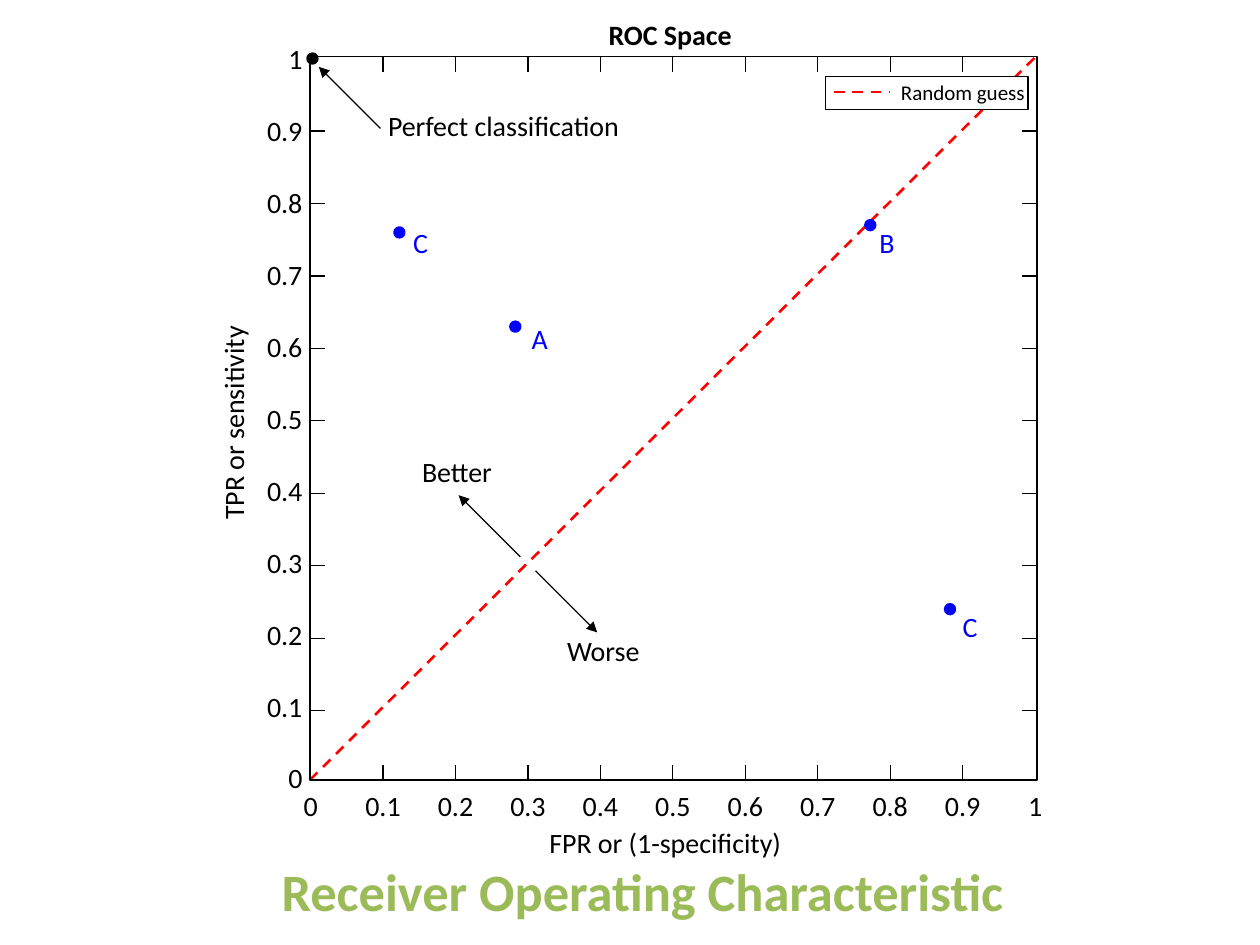
from lxml.etree import SubElement
from pptx import Presentation
from pptx.dml.color import RGBColor
from pptx.enum.dml import MSO_LINE
from pptx.enum.shapes import MSO_CONNECTOR, MSO_SHAPE
from pptx.enum.text import MSO_AUTO_SIZE, PP_ALIGN
from pptx.oxml.ns import qn
from pptx.util import Inches, Pt

BLACK = RGBColor(0x00, 0x00, 0x00)
WHITE = RGBColor(0xFF, 0xFF, 0xFF)
RED = RGBColor(0xFF, 0x00, 0x00)
BLUE = RGBColor(0x00, 0x00, 0xFF)
GREEN = RGBColor(0x9B, 0xBB, 0x59)

# The slide is a grid of 100 columns by 75 rows.
COLUMNS, ROWS = 100, 75
LEFT, TOP, RIGHT, BOTTOM = 24.6, 4.5, 82.3, 61.9
ORIGIN_COLUMN, ORIGIN_ROW, SCALE = 24.65, 62.15, 57.5
TICK = 1.2
LABEL_HEIGHT = 2.7


def rate_column(rate):
    return ORIGIN_COLUMN + SCALE * rate


def rate_row(rate):
    return ORIGIN_ROW - SCALE * rate


class RocSlide:
    font_name = "Calibri"
    font_size = 16
    thin, thick = 0.75, 1.5

    def __init__(self, presentation):
        self.slide = presentation.slides.add_slide(presentation.slide_layouts[6])
        self.column = presentation.slide_width / COLUMNS
        self.row = presentation.slide_height / ROWS

    def place(self, column, row):
        return round(column * self.column), round(row * self.row)

    def text(self, words, column, row, width, height=LABEL_HEIGHT, color=BLACK,
             size=font_size, bold=False, align=PP_ALIGN.LEFT, wrap=False, rotation=0):
        box = self.slide.shapes.add_textbox(*self.place(column, row),
                                            *self.place(width, height))
        box.rotation = rotation
        frame = box.text_frame
        frame.margin_left = frame.margin_right = 0
        frame.margin_top = frame.margin_bottom = 0
        frame.word_wrap = wrap
        frame.auto_size = MSO_AUTO_SIZE.SHAPE_TO_FIT_TEXT
        paragraph = frame.paragraphs[0]
        paragraph.text = words
        paragraph.alignment = align
        font = paragraph.font
        font.name, font.size, font.bold = self.font_name, Pt(size), bold
        font.color.rgb = color

    def shape(self, kind, column, row, width, height, fill=None, line=BLACK,
              weight=thin):
        shape = self.slide.shapes.add_shape(kind, *self.place(column, row),
                                            *self.place(width, height))
        shape.shadow.inherit = False
        if fill is None:
            shape.fill.background()
        else:
            shape.fill.solid()
            shape.fill.fore_color.rgb = fill
        shape.line.color.rgb = line
        shape.line.width = Pt(weight)

    def line(self, start, end, color=BLACK, weight=thin, dashed=False, arrow=False,
             group=None):
        shapes = (group or self.slide).shapes
        line = shapes.add_connector(MSO_CONNECTOR.STRAIGHT, *self.place(*start),
                                    *self.place(*end))
        line.line.color.rgb = color
        line.line.width = Pt(weight)
        if dashed:
            line.line.dash_style = MSO_LINE.DASH
        if arrow:
            SubElement(line.line._get_or_add_ln(), qn("a:tailEnd"), type="triangle")
        SubElement(line._element.spPr, qn("a:effectLst"))

    def ticks(self, lines):
        group = self.slide.shapes.add_group_shape()
        for start, end in lines:
            self.line(start, end, group=group)

    def point(self, false_rate, true_rate, color=BLUE):
        size, nudge = 0.7, 0.15
        self.shape(MSO_SHAPE.OVAL, rate_column(false_rate) - size / 2 + nudge,
                   rate_row(true_rate) - size / 2, size, size,
                   fill=color, line=color, weight=2)

    def axis_labels(self):
        width = 3.2
        for step in range(11):
            rate = step / 10
            words = f"{rate:g}"
            self.text(words, 24 - width, 60.4 - 57.1 * rate, width,
                      align=PP_ALIGN.RIGHT)
            self.text(words, rate_column(rate) - width / 2, 62.6, width,
                      align=PP_ALIGN.CENTER)


def main():
    presentation = Presentation()
    presentation.slide_width, presentation.slide_height = Inches(10), Inches(7.5)
    roc = RocSlide(presentation)

    roc.text("Receiver Operating Characteristic", 22.35, 68.2, 58, 5,
             color=GREEN, size=30, bold=True, wrap=True)
    roc.line((LEFT, BOTTOM), (82.2, TOP), RED, roc.thick, dashed=True)
    roc.shape(MSO_SHAPE.RECTANGLE, 65.5, 6.1, 16.1, 2.6, fill=WHITE)
    roc.shape(MSO_SHAPE.RECTANGLE, LEFT, TOP, RIGHT - LEFT, BOTTOM - TOP)

    rates = [step / 10 for step in range(1, 10)]
    for edge, inner in ((LEFT, LEFT + TICK), (RIGHT, RIGHT - TICK)):
        roc.ticks([((edge, rate_row(r)), (inner, rate_row(r))) for r in rates])
    for edge, inner in ((BOTTOM, BOTTOM - TICK), (TOP, TOP + TICK)):
        roc.ticks([((rate_column(r), edge), (rate_column(r), inner)) for r in rates])

    for start, tip in (((41.3, 44.2), (36.4, 39.3)),
                       ((42.5, 45.3), (47.4, 50.2)),
                       ((30.2, 10.2), (25.3, 5.3))):
        roc.line(start, tip, arrow=True)

    roc.point(0, 1, BLACK)
    for name, false_rate, true_rate, column, row in (
            ("C", 0.12, 0.76, 32.8, 17.9),
            ("A", 0.28, 0.63, 42.2, 25.5),
            ("B", 0.77, 0.77, 69.8, 17.9),
            ("C", 0.88, 0.24, 76.4, 48.4)):
        roc.point(false_rate, true_rate)
        roc.text(name, column, row, 1.4, color=BLUE)

    roc.text("ROC Space", 48.3, 1.4, 9.9, bold=True)
    roc.text("TPR or sensitivity", 10.7, 32.1, 15.6, rotation=270)
    roc.text("FPR or (1-specificity)", 43.6, 65.5, 18.7)
    roc.axis_labels()
    roc.text("Perfect classification", 30.8, 8.6, 18.6)
    roc.text("Better", 33.5, 36.1, 5.7)
    roc.text("Worse", 45, 50.3, 5.8)

    roc.text("Random guess", 71.5, 6.3, 9.9, 2, size=12)
    roc.line((66.2, 7.3), (70.6, 7.3), RED, roc.thick, dashed=True)

    presentation.save("out.pptx")


if __name__ == "__main__":
    main()
